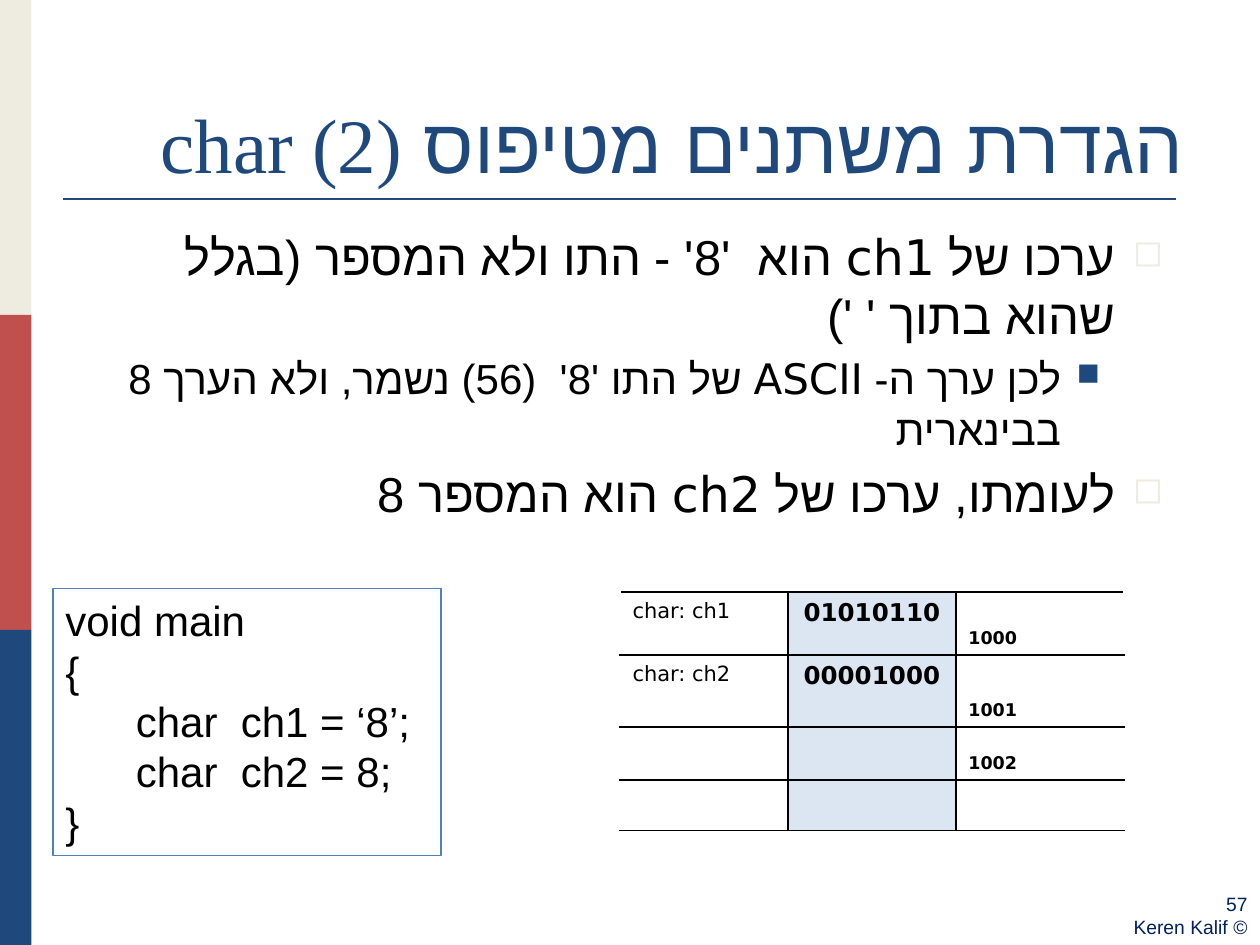
"""Build a slide on char variables, with code and a memory table."""
from dataclasses import dataclass
from typing import Optional

from lxml.etree import SubElement
from pptx import Presentation
from pptx.dml.color import RGBColor as Rgb
from pptx.enum.shapes import MSO_CONNECTOR as Link, MSO_SHAPE as Form
from pptx.enum.text import MSO_ANCHOR as Anchor, PP_ALIGN as Align
from pptx.oxml.ns import qn
from pptx.util import Inches, Pt


@dataclass(frozen=True)
class Theme:
    cream: str = "EEECE1"
    red: str = "C0504D"
    navy: str = "1F497D"
    ink: str = "002060"
    edge: str = "4F81BD"
    pale: str = "DCE6F2"
    black: str = "000000"
    sans: str = "Arial"
    serif: str = "Times New Roman"
    wide: str = "DejaVu Sans"
    head: float = 44
    main: float = 28
    sub: float = 24
    code: float = 24
    label: float = 12
    bits: float = 14
    place: float = 10
    foot: float = 11


LOOK = Theme()


@dataclass(frozen=True)
class Face:
    name: str
    size: float
    color: str = LOOK.black
    bold: bool = False


@dataclass(frozen=True)
class Mark:
    char: str
    color: str
    left: float
    hang: float


@dataclass(frozen=True)
class Line:
    text: str
    face: Face
    rtl: bool = False
    mark: Optional[Mark] = None
    indent: float = 0


@dataclass(frozen=True)
class Column:
    face: Face
    align: Align
    anchor: Anchor
    sides: str
    fill: Optional[str] = None


def paint(para, line: Line) -> None:
    """Write one line of text into a paragraph."""
    para.text = line.text
    props = para._p.get_or_add_pPr()
    if line.indent:
        props.set("marL", str(Inches(line.indent)))
    if line.rtl:
        props.set("rtl", "1")
        para.alignment = Align.RIGHT
    if line.mark:
        mark = line.mark
        props.set("marL", str(Inches(mark.left)))
        props.set("indent", str(-Inches(mark.hang)))
        tint = SubElement(props, qn("a:buClr"))
        SubElement(tint, qn("a:srgbClr"), val=mark.color)
        SubElement(props, qn("a:buSzPct"), val="75000")
        SubElement(props, qn("a:buChar"), char=mark.char)
        para.space_before = Pt(line.face.size * 0.2)
    font, face = para.font, line.face
    font.name, font.size, font.bold = face.name, Pt(face.size), face.bold
    font.color.rgb = Rgb.from_string(face.color)
    if line.rtl:
        SubElement(font._element, qn("a:cs"), typeface=LOOK.sans)


def write(frame, lines: list[Line], anchor: Anchor = Anchor.TOP) -> None:
    """Fill a text frame with lines."""
    frame.word_wrap = True
    frame.vertical_anchor = anchor
    for i, line in enumerate(lines):
        paint(frame.add_paragraph() if i else frame.paragraphs[0], line)


def add_text(slide, box: tuple, lines: list[Line], anchor: Anchor = Anchor.TOP):
    """Add a text box and return it."""
    shape = slide.shapes.add_textbox(*map(Inches, box))
    write(shape.text_frame, lines, anchor)
    return shape


def add_bar(slide, top: float, color: str) -> None:
    """Add one block of the side stripe."""
    bar = slide.shapes.add_shape(
        Form.RECTANGLE, 0, Inches(top), Inches(0.25), Inches(2.5))
    bar.shadow.inherit = False
    bar.fill.solid()
    bar.fill.fore_color.rgb = Rgb.from_string(color)
    bar.line.fill.background()


def add_rule(slide) -> None:
    """Add the line under the title."""
    rule = slide.shapes.add_connector(
        Link.STRAIGHT, *map(Inches, (0.5, 1.58, 9.33, 1.58)))
    rule.line.color.rgb = Rgb.from_string(LOOK.navy)
    rule.line.width = Pt(1.5)
    SubElement(rule._element.spPr, qn("a:effectLst"))


def style(cell, text: str, col: Column) -> None:
    """Give a table cell its borders, fill and text."""
    props = cell._tc.get_or_add_tcPr()
    for side in col.sides:
        edge = SubElement(props, qn(f"a:ln{side}"), w=str(Pt(1)))
        fill = SubElement(edge, qn("a:solidFill"))
        SubElement(fill, qn("a:srgbClr"), val=LOOK.black)
    if col.fill:
        cell.fill.solid()
        cell.fill.fore_color.rgb = Rgb.from_string(col.fill)
    else:
        cell.fill.background()
    cell.vertical_anchor = col.anchor
    para = cell.text_frame.paragraphs[0]
    paint(para, Line(text, col.face))
    para.alignment = col.align


def add_grid(slide) -> None:
    """Add the memory table."""
    cols = [
        Column(Face(LOOK.wide, LOOK.label), Align.LEFT, Anchor.TOP, "TB"),
        Column(Face(LOOK.wide, LOOK.bits, bold=True), Align.CENTER,
               Anchor.TOP, "LRTB", LOOK.pale),
        Column(Face(LOOK.wide, LOOK.place, bold=True), Align.LEFT,
               Anchor.BOTTOM, "LTB"),
    ]
    rows = [
        (0.5, ("char: ch1", "01010110", "1000")),
        (0.57, ("char: ch2", "00001000", "1001")),
        (0.42, ("", "", "1002")),
        (0.4, ("", "", "")),
    ]
    high = sum(size for size, _ in rows)
    grid = slide.shapes.add_table(
        len(rows), len(cols), *map(Inches, (4.92, 4.7, 4, high))).table
    grid.first_row = grid.horz_banding = False
    for row, (size, texts) in zip(grid.rows, rows):
        row.height = Inches(size)
        for cell, text, col in zip(row.cells, texts, cols):
            style(cell, text, col)


def main() -> None:
    """Build and save the slide."""
    deck = Presentation()
    deck.slide_width, deck.slide_height = Inches(10), Inches(7.5)
    slide = deck.slides.add_slide(deck.slide_layouts[6])
    for i, color in enumerate((LOOK.cream, LOOK.red, LOOK.navy)):
        add_bar(slide, i * 2.5, color)
    add_rule(slide)

    foot = Face(LOOK.sans, LOOK.foot, LOOK.ink)
    note = add_text(slide, (8.67, 7.03, 1.33, 0.47),
                    [Line(text, foot, True) for text in ("57", "© Keren Kalif")])
    note.text_frame.margin_right = Inches(0.1)
    head = Face(LOOK.serif, LOOK.head, LOOK.navy)
    add_text(slide, (0.5, 0.3, 9, 1.25),
             [Line("הגדרת משתנים מטיפוס char (2)", head, True)], Anchor.BOTTOM)

    big, small = Face(LOOK.wide, LOOK.main), Face(LOOK.wide, LOOK.sub)
    outer = Mark("◻", LOOK.cream, 0.38, 0.38)
    inner = Mark("■", LOOK.navy, 0.81, 0.31)
    add_text(slide, (0.5, 1.75, 8.83, 4.95), [
        Line("ערכו של ch1 הוא  '8' - התו ולא המספר (בגלל שהוא בתוך ' ')",
             big, True, outer),
        Line("לכן ערך ה- ASCII של התו '8'  (56) נשמר, ולא הערך 8 בבינארית",
             small, True, inner),
        Line("לעומתו, ערכו של ch2 הוא המספר 8", big, True, outer),
    ])

    mono = Face(LOOK.sans, LOOK.code)
    code = [("void main", 0), ("{", 0), ("char  ch1 = ‘8’;", 0.56),
            ("char  ch2 = 8;", 0.56), ("}", 0)]
    box = add_text(slide, (0.42, 4.67, 3.08, 2.12),
                   [Line(text, mono, indent=step) for text, step in code])
    box.line.color.rgb = Rgb.from_string(LOOK.edge)
    box.line.width = Pt(0.75)
    add_grid(slide)
    deck.save("out.pptx")


if __name__ == "__main__":
    main()
